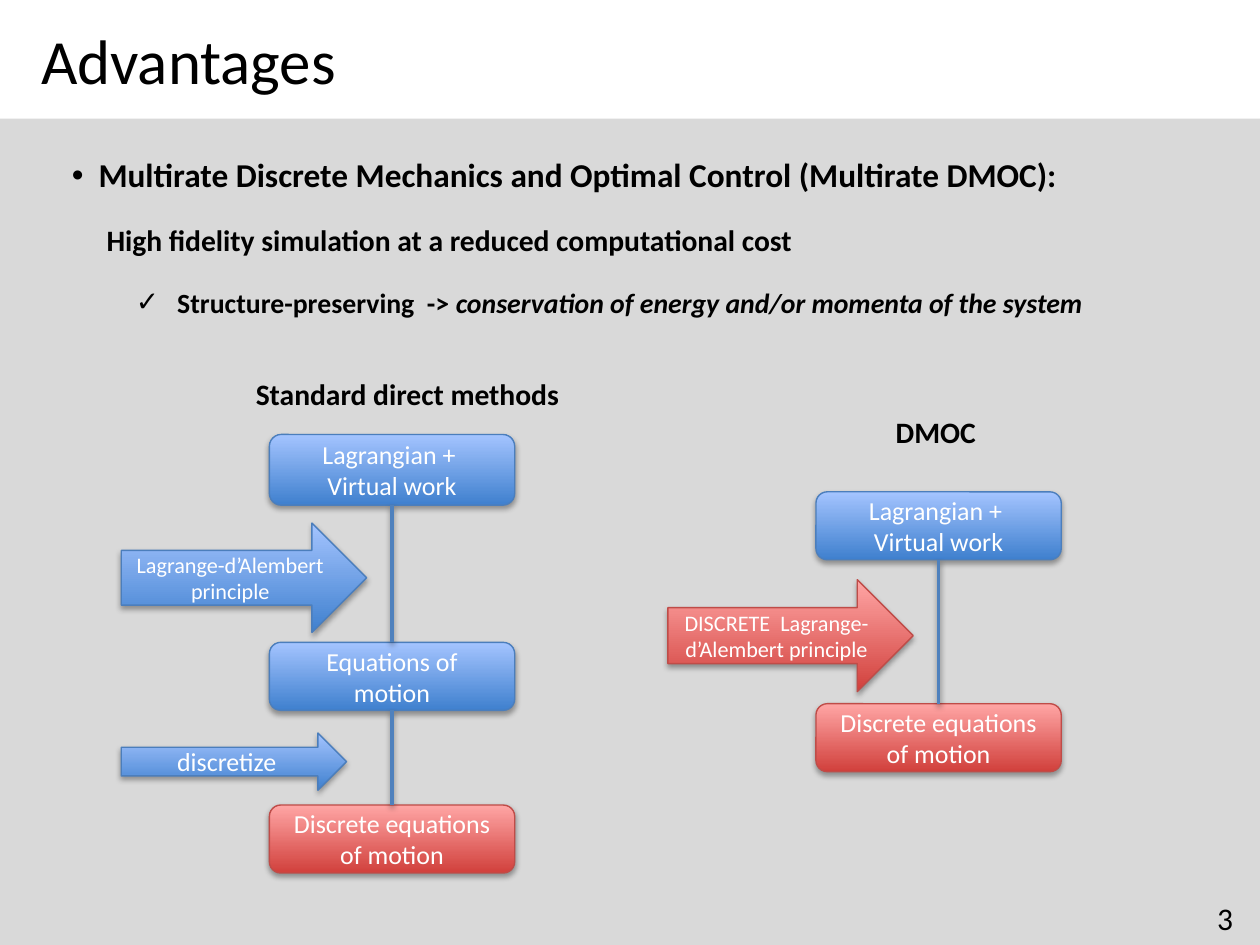
import pptx
import pptx.dml.color
import pptx.enum.shapes
import pptx.enum.text
import pptx.oxml.ns
import pptx.util
from lxml import etree

COLOURS = {"backdrop": "D9D9D9", "text": "000000", "label": "FFFFFF",
           "connector": "4F81BD", "shadow": "000000"}
# Gradient from bottom to top, then outline
TONES = {"blue": ("3F80CE", "A4C4FF", "4B7EBC"),
         "red": ("D1403C", "FFA6A5", "BF4C48")}
FONT = "Calibri"
WIDTH, HEIGHT = 9.45, 7.09

# Lengths below are percentages of the slide's width and height.
BACKDROP = (0, 12.55, 100, 87.45)
BOX_WIDTH, BOX_HEIGHT = 19.47, 7.19
ARROW_OFFSET, ARROW_DROP = 11.75, 0.42

START = ["Lagrangian + ", "Virtual work"]
RESULT = ["Discrete equations of motion"]

CAPTIONS = [
    ("Advantages", (2.22, 1.55, 59.15, 9.45), {"size": 34}, True),
    ("Standard direct methods", (19.26, 39.07, 26.56, 5.22), {"size": 16, "bold": True}, False),
    ("DMOC", (70.05, 43.16, 8.57, 5.22), {"size": 16, "bold": True}, False),
    ("3", (95.56, 94.5, 5.4, 5.5), {"size": 17}, True),
]

BODY_AREA = (4.66, 15.66, 93.76, 19.46)
# level, left margin and first-line indent in inches, bullet, runs
BODY = [
    (0, 0.2, -0.2, "•",
     [("Multirate Discrete Mechanics and Optimal Control (Multirate DMOC):",
       {"size": 18, "bold": True})]),
    (0, 0.26, 0, None,
     [("High fidelity simulation at a reduced computational cost",
       {"size": 16, "bold": True})]),
    (1, 0.79, -0.31, "✓",
     [("Structure-preserving  -> ", {"size": 15, "bold": True}),
      ("conservation of energy and/or momenta of the system",
       {"size": 15, "bold": True, "italic": True})]),
]

FLOWS = [
    {"left": 21.38,
     "boxes": [(START, "blue", 45.98, 7.48),
               (["Equations of motion"], "blue", 67.98, BOX_HEIGHT),
               (RESULT, "red", 85.19, BOX_HEIGHT)],
     "arrows": [("Lagrange-d’Alembert principle", "blue", BOX_WIDTH, 11.57, 12),
                ("discretize", "blue", 17.88, 6.06, 14)]},
    {"left": 64.76,
     "boxes": [(START, "blue", 52.05, BOX_HEIGHT),
               (RESULT, "red", 74.47, BOX_HEIGHT)],
     "arrows": [("DISCRETE  Lagrange-d’Alembert principle", "red", BOX_WIDTH, 11.85, 12)]},
]


def rgb(value):
    return pptx.dml.color.RGBColor.from_string(value)


def place(left, top, width, height):
    """Turn percentages of the slide into lengths."""
    return [pptx.util.Inches(share * side / 100)
            for share, side in zip((left, top, width, height), (WIDTH, HEIGHT) * 2)]


def add_child(parent, tag, **attributes):
    return etree.SubElement(parent, pptx.oxml.ns.qn(tag), attributes)


def add_shadow(shape, blur, distance, opacity):
    """Cast a shadow straight down; the outline must already be set."""
    effects = add_child(shape._element.spPr, "a:effectLst")
    outer = add_child(effects, "a:outerShdw", blurRad=str(pptx.util.Pt(blur)),
                      dist=str(pptx.util.Pt(distance)), dir="5400000", rotWithShape="0")
    colour = add_child(outer, "a:srgbClr", val=COLOURS["shadow"])
    add_child(colour, "a:alpha", val=str(opacity * 1000))


def add_run(paragraph, text, formats, colour="text"):
    run = paragraph.add_run()
    run.text = text
    run.font.color.rgb = rgb(COLOURS[colour])
    for name, value in {"name": FONT, **formats}.items():
        setattr(run.font, name, pptx.util.Pt(value) if name == "size" else value)


def add_text_box(slide, area, wrap):
    frame = slide.shapes.add_textbox(*place(*area)).text_frame
    frame.word_wrap = wrap
    frame.auto_size = pptx.enum.text.MSO_AUTO_SIZE.SHAPE_TO_FIT_TEXT
    return frame


def add_backdrop(slide):
    kind = pptx.enum.shapes.MSO_SHAPE.RECTANGLE
    shape = slide.shapes.add_shape(kind, *place(*BACKDROP))
    shape.fill.solid()
    shape.fill.fore_color.rgb = rgb(COLOURS["backdrop"])
    shape.line.fill.background()
    add_shadow(shape, 0, 1.8, 35)


def add_body(slide):
    frame = add_text_box(slide, BODY_AREA, True)
    for index, (level, margin, indent, bullet, runs) in enumerate(BODY):
        paragraph = frame.add_paragraph() if index else frame.paragraphs[0]
        paragraph.level = level
        paragraph.space_after = pptx.util.Pt(15)
        properties = paragraph._p.get_or_add_pPr()
        properties.set("marL", str(pptx.util.Inches(margin)))
        properties.set("indent", str(pptx.util.Inches(indent)))
        if bullet:
            add_child(properties, "a:buFont", typeface="Arial")
            add_child(properties, "a:buChar", char=bullet)
        for text, formats in runs:
            add_run(paragraph, text, formats)


def add_block(slide, kind, area, lines, tone, size):
    """Draw a glossy shape with centred white text."""
    shape = slide.shapes.add_shape(kind, *place(*area))
    bottom, top, outline = TONES[tone]
    shape.fill.gradient()
    shape.fill.gradient_angle = 90
    for stop, colour in zip(shape.fill.gradient_stops, (bottom, top)):
        stop.color.rgb = rgb(colour)
    shape.line.color.rgb = rgb(outline)
    shape.line.width = pptx.util.Pt(0.75)
    add_shadow(shape, 3.1, 1.8, 35)
    frame = shape.text_frame
    frame.word_wrap = True
    frame.vertical_anchor = pptx.enum.text.MSO_ANCHOR.MIDDLE
    for index, line in enumerate(lines):
        paragraph = frame.add_paragraph() if index else frame.paragraphs[0]
        paragraph.alignment = pptx.enum.text.PP_ALIGN.CENTER
        add_run(paragraph, line, {"size": size}, "label")


def add_link(slide, centre, top, bottom):
    x, y, _, length = place(centre, top, 0, bottom - top)
    link = slide.shapes.add_connector(
        pptx.enum.shapes.MSO_CONNECTOR.STRAIGHT, x, y, x, y + length)
    link.line.color.rgb = rgb(COLOURS["connector"])
    link.line.width = pptx.util.Pt(2)
    add_shadow(link, 3.1, 1.6, 38)


def add_flow(slide, flow):
    """Stack the boxes, link neighbours and put an arrow beside each link."""
    kinds = pptx.enum.shapes.MSO_SHAPE
    left, boxes = flow["left"], flow["boxes"]
    for lines, tone, top, height in boxes:
        add_block(slide, kinds.ROUNDED_RECTANGLE, (left, top, BOX_WIDTH, height),
                  lines, tone, 14)
    for upper, lower, arrow in zip(boxes, boxes[1:], flow["arrows"]):
        link_top, link_bottom = upper[2] + upper[3], lower[2]
        add_link(slide, left + BOX_WIDTH / 2, link_top, link_bottom)
        text, tone, width, height, size = arrow
        top = (link_top + link_bottom - height) / 2 + ARROW_DROP
        add_block(slide, kinds.RIGHT_ARROW, (left - ARROW_OFFSET, top, width, height),
                  [text], tone, size)


def main():
    presentation = pptx.Presentation()
    presentation.slide_width = pptx.util.Inches(WIDTH)
    presentation.slide_height = pptx.util.Inches(HEIGHT)
    slide = presentation.slides.add_slide(presentation.slide_layouts[6])
    add_backdrop(slide)
    add_body(slide)
    for flow in FLOWS:
        add_flow(slide, flow)
    for text, area, formats, wrap in CAPTIONS:
        add_run(add_text_box(slide, area, wrap).paragraphs[0], text, formats)
    presentation.save("out.pptx")


if __name__ == "__main__":
    main()
